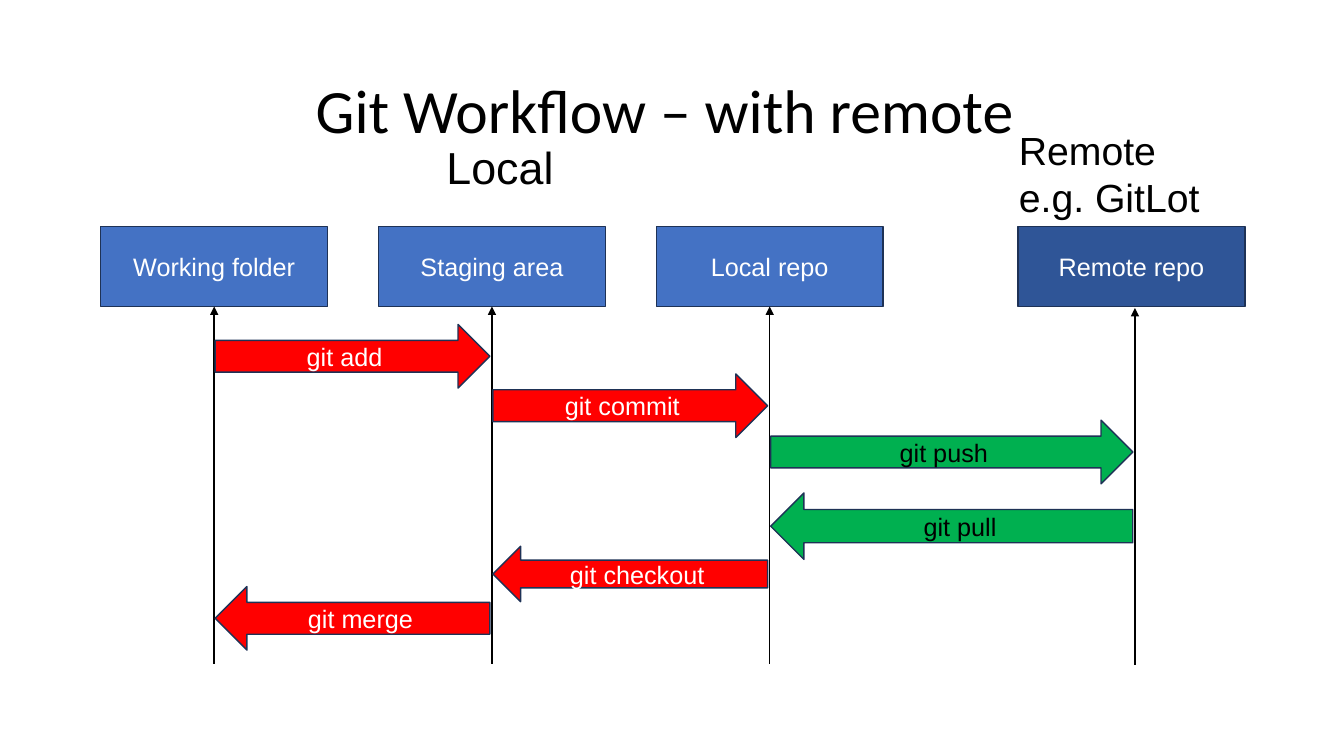
from lxml.etree import SubElement
from pptx import Presentation
from pptx.dml.color import RGBColor
from pptx.enum.shapes import MSO_CONNECTOR as Connector, MSO_SHAPE as Shape
from pptx.enum.text import MSO_ANCHOR as Anchor, PP_ALIGN as Align
from pptx.oxml.ns import qn
from pptx.util import Pt

COLORS = {
    "local": "4472C4",
    "remote": "2F5597",
    "edge": "1E3256",
    "step": "FF0000",
    "sync": "00B050",
    "black": "000000",
    "white": "FFFFFF",
}
BOTTOM_SIDE = 2
LANE_PITCH = 198.4
STORE_WIDTH, STORE_HEIGHT = 162, 57
STORES = [
    ("Working folder", 0, "local"),
    ("Staging area", LANE_PITCH, "local"),
    ("Local repo", 2 * LANE_PITCH, "local"),
    ("Remote repo", 655.2, "remote"),
]
REMOTE_LANE_SHIFT = 2.5
COMMANDS = [
    ("git add", 0, 1, 69.8, 45.4, "step"),
    ("git commit", 1, 2, 105.1, 45.4, "step"),
    ("git push", 2, 3, 138.2, 45.4, "sync"),
    ("git pull", 3, 2, 190.1, 47.5, "sync"),
    ("git checkout", 2, 1, 228.2, 39.6, "step"),
    ("git merge", 1, 0, 257, 45.4, "step"),
]


def rgb(name):
    return RGBColor.from_string(COLORS[name])


def write(frame, text, size, color, align, font="Arial"):
    frame.text = text
    frame.word_wrap = True
    for para in frame.paragraphs:
        para.alignment = align
        for span in para.runs:
            span.font.name = font
            span.font.size = Pt(size)
            span.font.color.rgb = rgb(color)


def add_block(page, kind, box, text, fill, color):
    block = page.shapes.add_shape(kind, *map(Pt, box))
    block.shadow.inherit = False
    block.fill.solid()
    block.fill.fore_color.rgb = rgb(fill)
    block.line.color.rgb = rgb("edge")
    block.line.width = Pt(1)
    block.text_frame.vertical_anchor = Anchor.MIDDLE
    write(block.text_frame, text, 18, color, Align.CENTER)
    return block


def add_title(page, box):
    title = page.shapes.title
    title.left, title.top, title.width, title.height = map(Pt, box)
    frame = title.text_frame
    frame.vertical_anchor = Anchor.MIDDLE
    write(frame, "Git Workflow – with remote ", 44, "black", Align.CENTER, "Calibri")
    frame.paragraphs[0].line_spacing = 0.9


def add_caption(page, box, text, size):
    caption = page.shapes.add_textbox(*map(Pt, box))
    write(caption.text_frame, text, size, "black", Align.LEFT)


def add_lifeline(page, x, bottom, top, store=None):
    line = page.shapes.add_connector(Connector.STRAIGHT, Pt(x), Pt(bottom), Pt(x), Pt(top))
    if store is not None:
        line.end_connect(store, BOTTOM_SIDE)
    line.line.color.rgb = rgb("black")
    line.line.width = Pt(1)
    SubElement(line.get_or_add_ln(), qn("a:tailEnd"), type="triangle")
    SubElement(line._element.spPr, qn("a:effectLst"))


def add_workflow(page, box):
    left, top, width, height = box
    lanes = []
    for name, offset, fill in STORES:
        store_box = (left + offset, top, STORE_WIDTH, STORE_HEIGHT)
        store = add_block(page, Shape.RECTANGLE, store_box, name, fill, "white")
        lane = left + offset + STORE_WIDTH / 2
        if fill == "remote":
            lane += REMOTE_LANE_SHIFT
            add_lifeline(page, lane, top + height + 1, top + STORE_HEIGHT + 1)
        else:
            add_lifeline(page, lane, top + height, top + STORE_HEIGHT, store)
        lanes.append(lane)
    for text, start, end, offset, arrow_height, fill in COMMANDS:
        kind = Shape.RIGHT_ARROW if start < end else Shape.LEFT_ARROW
        near, far = sorted((lanes[start], lanes[end]))
        arrow_box = (near + 0.7, top + offset, far - near - 2.2, arrow_height)
        color = "black" if fill == "sync" else "white"
        add_block(page, kind, arrow_box, text, fill, color)


def main():
    deck = Presentation()
    deck.slide_width, deck.slide_height = Pt(960), Pt(540)
    page = deck.slides.add_slide(deck.slide_layouts[5])
    add_title(page, (66, 28.8, 828, 104.4))
    add_caption(page, (311.8, 96.5, 115.2, 46), "Local", 32)
    add_caption(page, (720.7, 86.6, 178.6, 75), "Remote\ne.g. GitLot", 28)
    add_workflow(page, (72, 162, 817.2, 312))
    deck.save("out.pptx")


if __name__ == "__main__":
    main()
